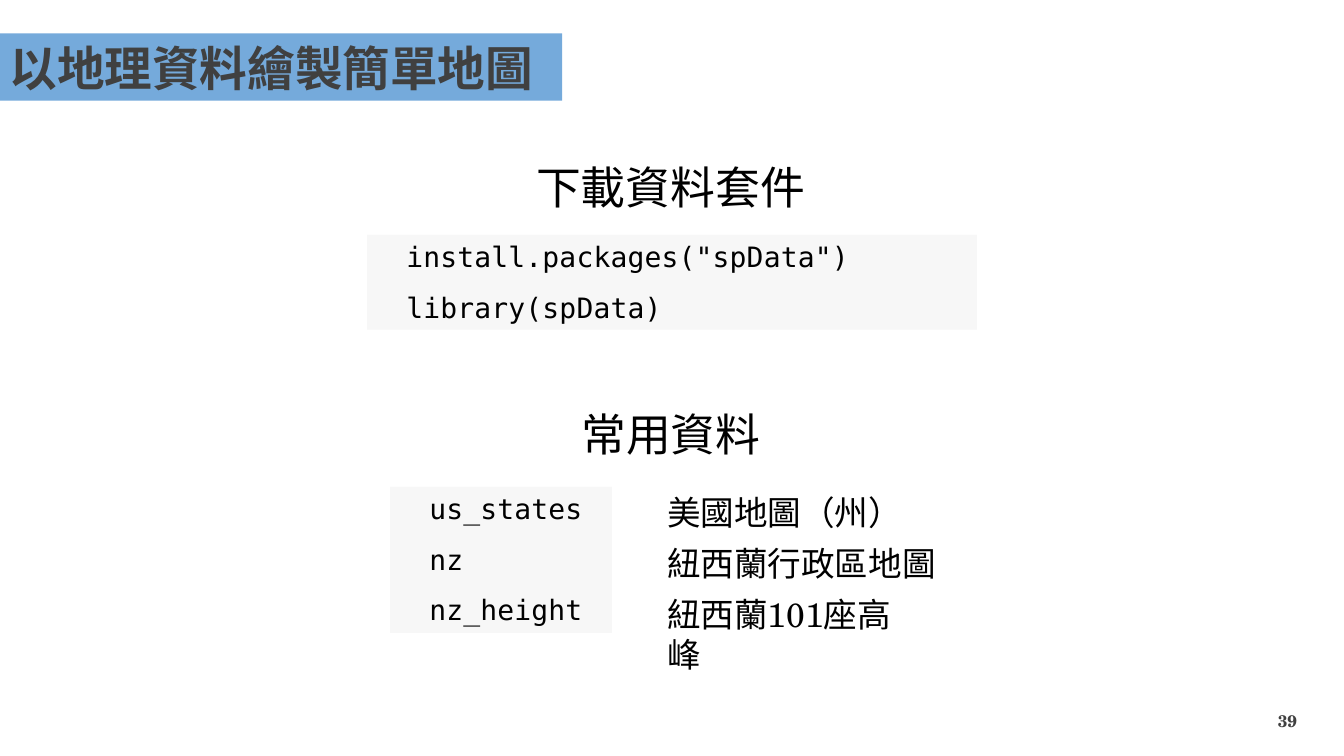
from dataclasses import dataclass

from pptx import Presentation
from pptx.dml.color import RGBColor
from pptx.enum.shapes import MSO_SHAPE
from pptx.enum.text import MSO_ANCHOR, PP_ALIGN
from pptx.oxml.ns import qn
from pptx.util import Cm, Pt

RECT = MSO_SHAPE.RECTANGLE
LEFT, RIGHT = PP_ALIGN.LEFT, PP_ALIGN.RIGHT
TOP, MIDDLE = MSO_ANCHOR.TOP, MSO_ANCHOR.MIDDLE

# Boxes are left, top, width, height in centimetres.
TITLE = ("以地理資料繪製簡單地圖", (0, 0.84, 14.17, 1.7))
HEADS = [
    ("下載資料套件", (13.26, 3.91, 7.34, 1.63)),
    ("常用資料", (14.4, 10.13, 5.08, 1.63)),
]
CODES = [
    (['install.packages("spData")', "library(spData)"], (9.25, 5.92, 15.37, 2.39)),
    (["us_states", "nz", "nz_height"], (9.83, 12.27, 5.59, 3.68)),
]
NOTES = [("美國地圖（州）", 6.5), ("紐西蘭行政區地圖", 7.34), ("紐西蘭101座高峰", 6.91)]
NOTE_LEFT, NOTE_TOP, NOTE_STEP = 16.56, 12.27, 1.28
PAGE = ("39", (25.32, 17.65, 7.62, 1.02))


@dataclass(frozen=True)
class Theme:
    ink: str = "000000"
    gray: str = "404040"
    blue: str = "75AADB"
    pale: str = "F7F7F7"
    serif: str = "TeX Gyre Schola"
    sans: str = "Noto Sans CJK SC"
    mono: str = "DejaVu Sans Mono"
    title: int = 34
    head: int = 32
    note: int = 24
    code: int = 20
    page: int = 12


THEME = Theme()


def put_text(shape, lines, face, size, color=THEME.ink, bold=False,
             align=LEFT, anchor=TOP, wrap=True):
    """Fill a shape with one paragraph per line and return the paragraphs."""
    frame = shape.text_frame
    frame.text = "\n".join(lines)
    frame.word_wrap = wrap
    frame.vertical_anchor = anchor
    for para in frame.paragraphs:
        para.alignment = align
        font = para.font
        font.name, font.size, font.bold = face, Pt(size), bold
        font.color.rgb = RGBColor.from_string(color)
        for run in para.runs:
            east = run._r.get_or_add_rPr().makeelement(qn("a:ea"), {"typeface": face})
            run._r.get_or_add_rPr().append(east)
    return frame.paragraphs


def add_box(slide, box):
    return slide.shapes.add_textbox(*map(Cm, box))


def add_panel(slide, box, fill):
    panel = slide.shapes.add_shape(RECT, *map(Cm, box))
    panel.shadow.inherit = False
    panel.fill.solid()
    panel.fill.fore_color.rgb = RGBColor.from_string(fill)
    panel.line.fill.background()
    return panel


def add_code(slide, lines, box):
    paras = put_text(add_panel(slide, box, THEME.pale), lines, THEME.mono, THEME.code)
    for i, para in enumerate(paras):
        para.space_before = Pt(6 if i else 0)
        para.space_after = Pt(6)
        para._p.get_or_add_pPr().set("indent", str(Cm(0.74)))
        for run in para.runs:
            run._r.get_or_add_rPr().set("spc", "10")


def main():
    deck = Presentation()
    deck.slide_width, deck.slide_height = Cm(33.87), Cm(19.05)
    slide = deck.slides.add_slide(deck.slide_layouts[6])

    text, box = PAGE
    put_text(add_box(slide, box), [text], THEME.serif, THEME.page,
             THEME.gray, True, RIGHT, MIDDLE)
    text, box = TITLE
    put_text(add_panel(slide, box, THEME.blue), [text], THEME.sans, THEME.title,
             THEME.gray, True, anchor=MIDDLE, wrap=False)
    for text, box in HEADS:
        put_text(add_box(slide, box), [text], THEME.serif, THEME.head, wrap=False)
    for lines, box in CODES:
        add_code(slide, lines, box)
    for i, (text, width) in enumerate(NOTES):
        box = (NOTE_LEFT, NOTE_TOP + i * NOTE_STEP, width, NOTE_STEP)
        put_text(add_box(slide, box), [text], THEME.serif, THEME.note)

    deck.save("out.pptx")


if __name__ == "__main__":
    main()
